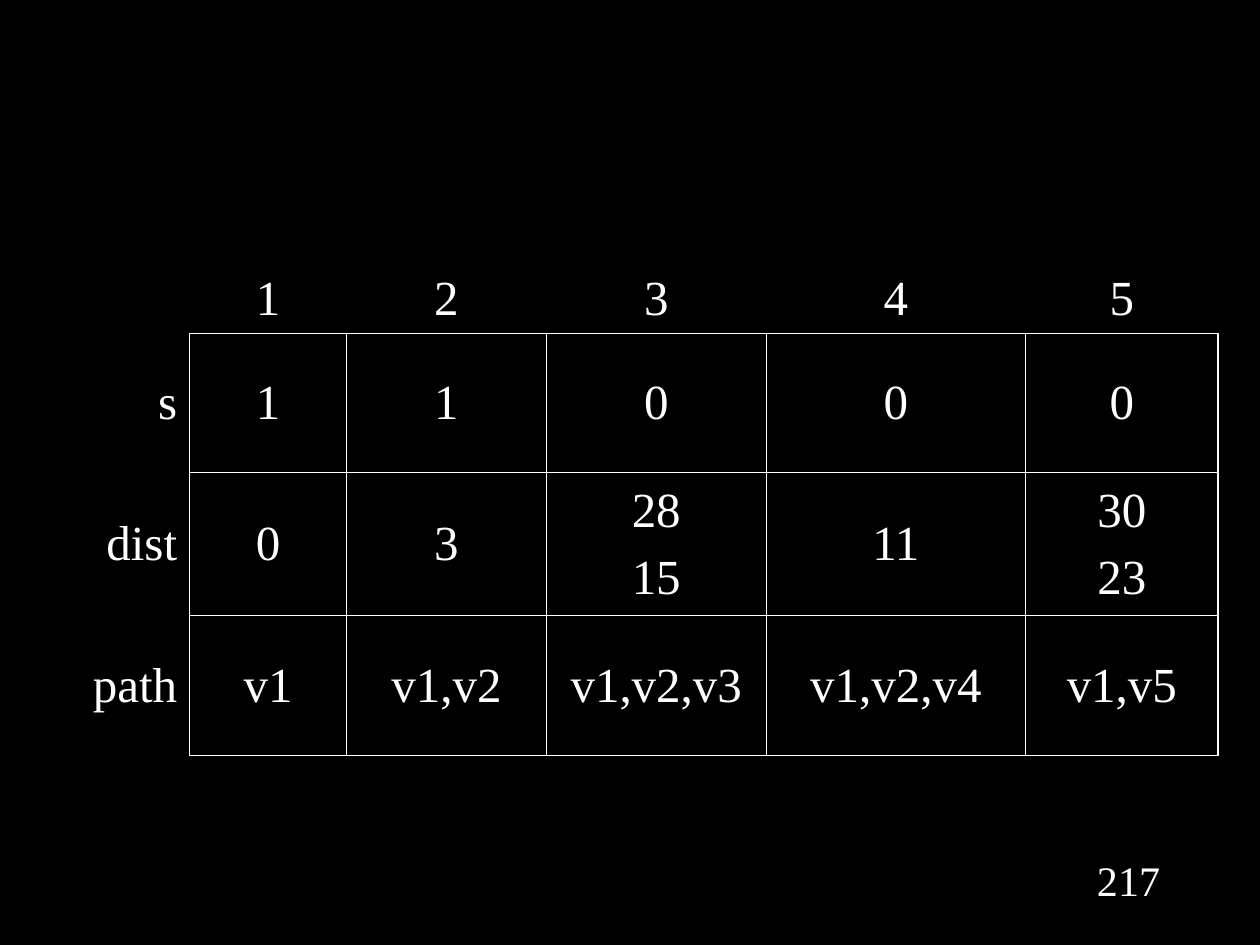
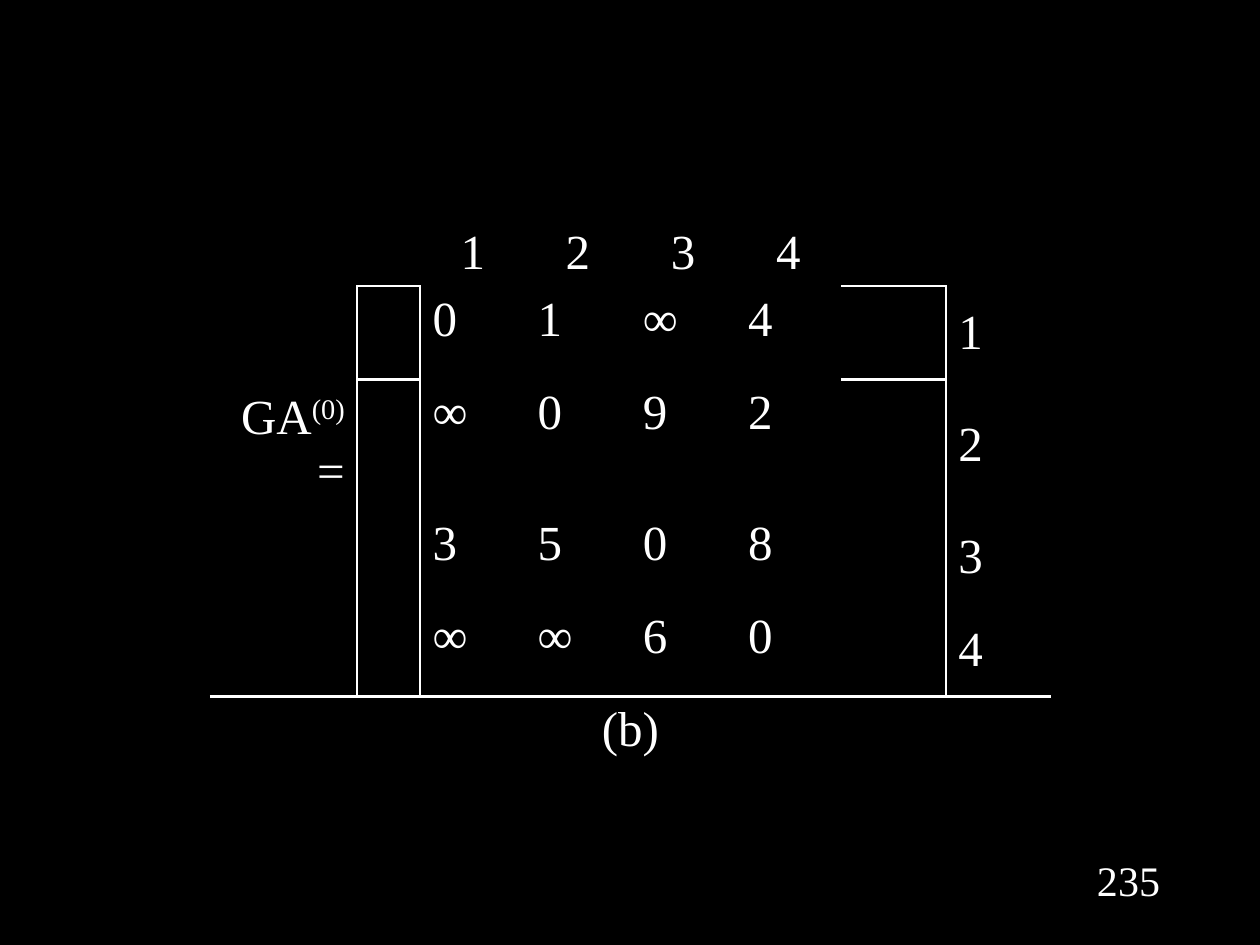
"""Builds two black slides: a shortest-path table and a bracketed cost matrix."""
from lxml import etree
from pptx import Presentation
from pptx.dml.color import RGBColor
from pptx.enum.text import MSO_ANCHOR, PP_ALIGN
from pptx.oxml.ns import qn
from pptx.util import Cm, Pt

LEFT, CENTER, RIGHT = PP_ALIGN.LEFT, PP_ALIGN.CENTER, PP_ALIGN.RIGHT
TOP, MIDDLE, BOTTOM = MSO_ANCHOR.TOP, MSO_ANCHOR.MIDDLE, MSO_ANCHOR.BOTTOM
BLACK, WHITE = "000000", "FFFFFF"
FONT = "Times New Roman"
NO_STYLE = "{2D5ABB26-0587-4C30-8999-92F81FD0307C}"
TABLE_TOP = 3.89
THIN, OUTER, BRACKET = 0.45, 1.08, 1.47

prs = Presentation()
prs.slide_width, prs.slide_height = Cm(25.4), Cm(19.05)
background = prs.slide_master.background.fill
background.solid()
background.fore_color.rgb = RGBColor.from_string(BLACK)


def add_run(paragraph, text, size, color):
    """Add one formatted run and return it."""
    run = paragraph.add_run()
    run.text = text
    run.font.name = FONT
    run.font.size = Pt(size)
    run.font.color.rgb = RGBColor.from_string(color)
    return run


def add_page(number, left, widths, heights):
    """Add a slide with its page number and an unstyled table; return the table."""
    slide = prs.slides.add_slide(prs.slide_layouts[6])
    page_box = slide.shapes.add_textbox(Cm(21.8), Cm(17.1), Cm(1.9), Cm(1.27))
    page_box.text_frame.word_wrap = True
    page_line = page_box.text_frame.paragraphs[0]
    page_line.alignment = CENTER
    add_run(page_line, number, 24, WHITE)
    frame = slide.shapes.add_table(len(heights), len(widths), Cm(left), Cm(TABLE_TOP),
                                   Cm(sum(widths)), Cm(sum(heights)))
    frame.element.find(".//" + qn("a:tableStyleId")).text = NO_STYLE
    table = frame.table
    table.first_row = table.horz_banding = False
    for column, width in zip(table.columns, widths):
        column.width = Cm(width)
    for row, height in zip(table.rows, heights):
        row.height = Cm(height)
    return table


cells = []

path_rows = [
    ["", "1", "2", "3", "4", "5"],
    ["s", "1", "1", "0", "0", "0"],
    ["dist", "0", "3", "28\n15", "11", "30\n23"],
    ["path", "v1", "v1,v2", "v1,v2,v3", "v1,v2,v4", "v1,v5"],
]
path_table = add_page("217", 1.28, [2.54, 3.17, 4.02, 4.44, 5.22, 3.89],
                      [2.82, 2.82, 2.87, 2.82])
for r, values in enumerate(path_rows):
    for c, value in enumerate(values):
        borders = {}
        if r and c:
            borders.update(L=THIN, T=THIN)
        if r:
            borders["R"] = OUTER if c == 5 else THIN
        if c:
            borders["B"] = OUTER if r == 3 else THIN
        cells.append((path_table.cell(r, c), value, CENTER if c else RIGHT,
                      MIDDLE if r else BOTTOM, borders))

matrix_rows = [
    ["", "", "1", "2", "3", "4", "", ""],
    ["", "", "0", "1", "∞", "4", "", "1"],
    ["GA^(0)^=", "", "∞", "0", "9", "2", "", "2"],
    ["", "", "3", "5", "0", "8", "", "3"],
    ["", "", "∞", "∞", "6", "0", "", "4"],
]
matrix_table = add_page("235", 4.23, [2.97, 1.27] + [2.12] * 6,
                        [1.88, 1.88, 2.62, 1.88, 1.88, 1.88])
for r, values in enumerate(matrix_rows):
    for c, value in enumerate(values):
        borders = {}
        if r and c in (1, 7):
            borders["L"] = BRACKET
        if r and c in (0, 6):
            borders["R"] = BRACKET
        if r == 1 and c in (1, 6):
            borders["T"] = BRACKET
        if r in (0, 4) and c in (1, 6):
            borders["B"] = BRACKET
        align = CENTER if r == 0 else RIGHT if c == 0 else LEFT
        anchor = BOTTOM if r == 0 else MIDDLE if c in (0, 7) else TOP
        cells.append((matrix_table.cell(r, c), value, align, anchor, borders))
caption = matrix_table.cell(5, 0)
caption.merge(matrix_table.cell(5, 7))
cells.append((caption, "(b)", CENTER, TOP, {"T": BRACKET}))

for cell, value, align, anchor, borders in cells:
    cell.vertical_anchor = anchor
    cell.margin_left = cell.margin_right = Cm(0.25)
    cell.margin_top = cell.margin_bottom = Cm(0.13)
    properties = cell._tc.get_or_add_tcPr()
    for side in "LRTB":
        if side in borders:
            line = etree.SubElement(properties, qn("a:ln" + side), w=str(Pt(borders[side])))
            solid = etree.SubElement(line, qn("a:solidFill"))
            etree.SubElement(solid, qn("a:srgbClr"), val=WHITE)
    cell.fill.background()
    for i, text in enumerate(value.split("\n")):
        paragraph = cell.text_frame.add_paragraph() if i else cell.text_frame.paragraphs[0]
        paragraph.alignment = align
        if i:
            paragraph.space_before = Pt(7)
        for j, part in enumerate(text.split("^")):
            if part:
                run = add_run(paragraph, part, 28, WHITE)
                if j % 2:
                    run.font._element.set("baseline", "30000")

prs.save("out.pptx")
